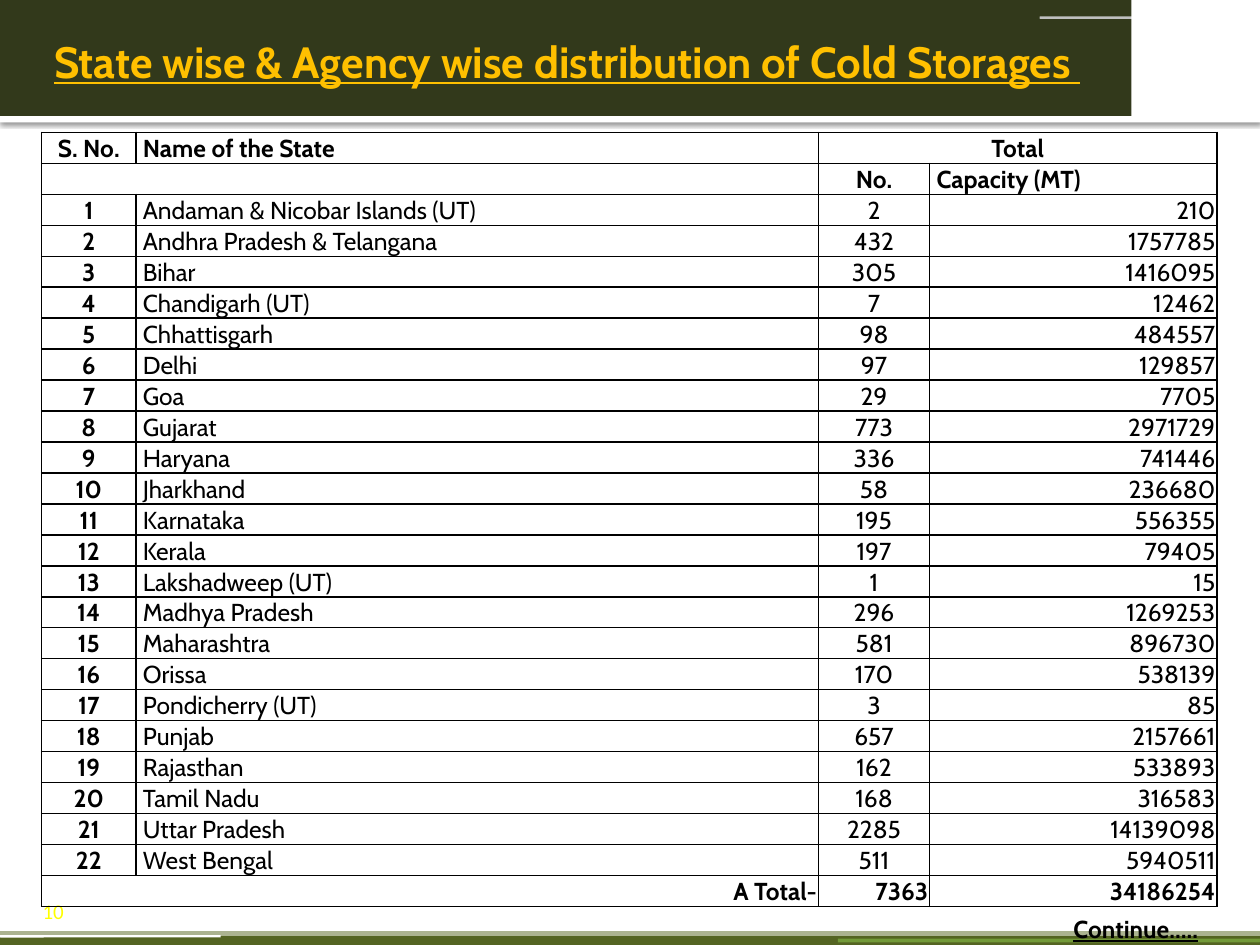
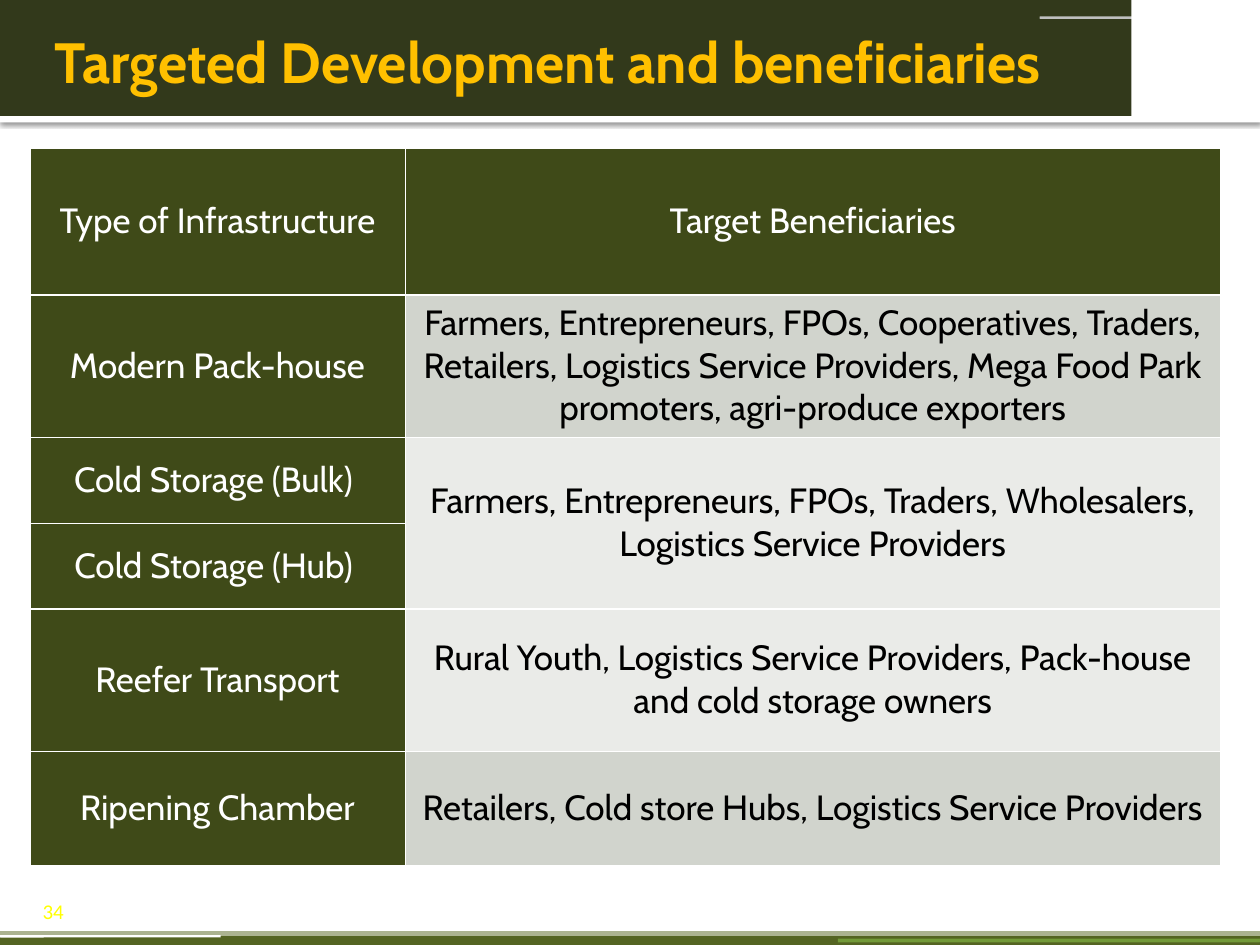
from dataclasses import dataclass
from typing import Optional

import pptx
import pptx.dml.color
import pptx.enum.shapes
import pptx.enum.text
import pptx.oxml
import pptx.oxml.ns
import pptx.util
from lxml import etree

Cm = pptx.util.Cm
Pt = pptx.util.Pt
qn = pptx.oxml.ns.qn
MSO_SHAPE = pptx.enum.shapes.MSO_SHAPE
ANCHOR = pptx.enum.text.MSO_ANCHOR
LEFT = pptx.enum.text.PP_ALIGN.LEFT
CENTER = pptx.enum.text.PP_ALIGN.CENTER
RIGHT = pptx.enum.text.PP_ALIGN.RIGHT

COLORS = {
    "white": "FFFFFF",
    "black": "000000",
    "title": "FFC000",
    "number": "FFFF00",
    "header": "32391B",
    "footer": "546422",
    "footer_line": "596922",
    "lime": "92D050",
    "grey": "BFBFBF",
    "label": "3F4A18",
    "dark_row": "D1D4CD",
    "light_row": "EAEBE8",
}
FONT = "Cabin"


@dataclass
class Band:
    left: float
    top: float
    width: float
    height: float
    color: str
    rounded: bool = False
    alpha: int = 100
    shadow: bool = False


@dataclass
class Style:
    size: float
    color: str = "black"
    bold: bool = False
    underline: bool = False
    font: str = FONT


@dataclass
class CellLook:
    style: Style
    align: int = CENTER
    anchor: int = ANCHOR.MIDDLE
    margins: tuple = (0.03, 0.03, 0.03, 0)
    fill: Optional[str] = None


BANDS = [
    Band(0, 2.34, 25.4, 0.13, "white", shadow=True),
    Band(0, 0, 25.4, 2.34, "header"),
    Band(0, 18.87, 25.4, 0.18, "footer"),
    Band(16.89, 18.92, 8.51, 0.08, "lime", rounded=True, alpha=50),
    Band(20.96, 0.33, 4.45, 0.05, "grey", rounded=True),
    Band(0, 18.77, 25.4, 0.1, "footer_line", alpha=50),
    Band(22.81, 0, 2.59, 2.36, "white"),
    Band(0, 18.85, 4.45, 0.05, "white", rounded=True),
]

STATES = [
    ("Andaman & Nicobar Islands (UT)", 2, 210),
    ("Andhra Pradesh & Telangana", 432, 1757785),
    ("Bihar", 305, 1416095),
    ("Chandigarh (UT)", 7, 12462),
    ("Chhattisgarh", 98, 484557),
    ("Delhi", 97, 129857),
    ("Goa", 29, 7705),
    ("Gujarat", 773, 2971729),
    ("Haryana", 336, 741446),
    ("Jharkhand", 58, 236680),
    ("Karnataka", 195, 556355),
    ("Kerala", 197, 79405),
    ("Lakshadweep (UT)", 1, 15),
    ("Madhya Pradesh", 296, 1269253),
    ("Maharashtra", 581, 896730),
    ("Orissa", 170, 538139),
    ("Pondicherry (UT)", 3, 85),
    ("Punjab", 657, 2157661),
    ("Rajasthan", 162, 533893),
    ("Tamil Nadu", 168, 316583),
    ("Uttar Pradesh", 2285, 14139098),
    ("West Bengal", 511, 5940511),
]

BENEFICIARIES = [
    ("Modern Pack-house", "Farmers, Entrepreneurs, FPOs, Cooperatives, Traders, Retailers, "
     "Logistics Service Providers, Mega Food Park promoters, agri-produce exporters", "dark_row"),
    ("Cold Storage (Bulk) ", "Farmers, Entrepreneurs, FPOs, Traders, Wholesalers, "
     "Logistics Service Providers", "light_row"),
    ("Cold Storage (Hub) ", "", "light_row"),
    ("Reefer Transport", "Rural Youth, Logistics Service Providers, Pack-house "
     "and cold storage owners", "light_row"),
    ("Ripening Chamber", "Retailers, Cold store Hubs, Logistics Service Providers", "dark_row"),
]


def rgb(name: str) -> pptx.dml.color.RGBColor:
    return pptx.dml.color.RGBColor.from_string(COLORS[name])


def add_run(p, text: str, style: Style) -> None:
    r = p.add_run()
    r.text = text
    r.font.name = style.font
    r.font.size = Pt(style.size)
    r.font.bold = style.bold
    r.font.underline = style.underline
    r.font.color.rgb = rgb(style.color)


def set_margins(target, margins: tuple) -> None:
    (target.margin_left, target.margin_top,
     target.margin_right, target.margin_bottom) = map(Cm, margins)


def add_shadow(sp) -> None:
    effects = sp._element.spPr.find(qn("a:effectLst"))
    shadow = etree.SubElement(effects, qn("a:outerShdw"), blurRad=str(Pt(2.5)),
                              dist=str(Pt(0.8)), dir="5400000", algn="t", rotWithShape="0")
    color = etree.SubElement(shadow, qn("a:srgbClr"), val=COLORS["black"])
    etree.SubElement(color, qn("a:alpha"), val="60000")


def add_band(slide, layout, band: Band) -> None:
    kind = MSO_SHAPE.ROUNDED_RECTANGLE if band.rounded else MSO_SHAPE.RECTANGLE
    sp = slide.shapes.add_shape(kind, Cm(band.left), Cm(band.top), Cm(band.width), Cm(band.height))
    sp.shadow.inherit = False
    sp.line.fill.background()
    sp.fill.solid()
    sp.fill.fore_color.rgb = rgb(band.color)
    if band.alpha < 100:
        color = sp._element.spPr.find(qn("a:solidFill"))[0]
        etree.SubElement(color, qn("a:alpha"), val=str(band.alpha * 1000))
    if band.shadow:
        add_shadow(sp)
    layout.shapes._spTree.append(sp._element)


def add_text(slide, box: tuple, text: str, style: Style, margins: tuple, anchor: int) -> None:
    tf = slide.shapes.add_textbox(*map(Cm, box)).text_frame
    tf.word_wrap = True
    tf.vertical_anchor = anchor
    set_margins(tf, margins)
    add_run(tf.paragraphs[0], text, style)


def add_slide(prs, layout, title: str, style: Style, number: str):
    slide = prs.slides.add_slide(layout)
    sp = slide.shapes.title
    sp.left, sp.top, sp.width, sp.height = Cm(0.84), Cm(0.43), Cm(23.7), Cm(1.6)
    tf = sp.text_frame
    tf.auto_size = pptx.enum.text.MSO_AUTO_SIZE.NONE
    tf.vertical_anchor = ANCHOR.MIDDLE
    set_margins(tf, (0.25, 0.13, 0.13, 0.13))
    p = tf.paragraphs[0]
    p.alignment = LEFT
    add_run(p, title, style)
    add_text(slide, (0.76, 18.11, 2.03, 0.51), number, Style(12, "number", font="Calibri"),
             (0.1, 0, 0.1, 0), ANCHOR.BOTTOM)
    return slide


def add_table(slide, left: float, top: float, cols: list, rows: list, border: str):
    frame = slide.shapes.add_table(len(rows), len(cols), Cm(left), Cm(top),
                                   Cm(sum(cols)), Cm(sum(rows)))
    table = frame.table
    table.first_row = table.horz_banding = False
    for col, width in zip(table.columns, cols):
        col.width = Cm(width)
    for row, height in zip(table.rows, rows):
        row.height = Cm(height)
    for cell in table.iter_cells():
        tcPr = cell._tc.get_or_add_tcPr()
        for side in ("L", "R", "T", "B"):
            ln = etree.SubElement(tcPr, qn(f"a:ln{side}"), w=str(Pt(1)))
            fill = etree.SubElement(ln, qn("a:solidFill"))
            etree.SubElement(fill, qn("a:srgbClr"), val=COLORS[border])
        cell.fill.background()
    return table


def write_cell(cell, text: str, look: CellLook) -> None:
    cell.vertical_anchor = look.anchor
    set_margins(cell, look.margins)
    if look.fill:
        cell.fill.solid()
        cell.fill.fore_color.rgb = rgb(look.fill)
    p = cell.text_frame.paragraphs[0]
    p.alignment = look.align
    if text:
        add_run(p, text, look.style)
    else:
        p.font.size = Pt(look.style.size)


def write_row(table, row: int, texts: tuple, looks: list) -> None:
    for col, (text, look) in enumerate(zip(texts, looks)):
        write_cell(table.cell(row, col), str(text), look)


def fill_states(slide) -> None:
    last = len(STATES) + 2
    table = add_table(slide, 0.84, 2.67, [1.9, 13.76, 2.24, 5.79], [0.62] * (last + 1), "black")
    for row, start, end in ((0, 2, 3), (1, 0, 1), (last, 0, 1)):
        table.cell(row, start).merge(table.cell(row, end))

    plain, bold = Style(14), Style(14, bold=True)
    indent = (0.14, 0.03, 0.03, 0)
    head = CellLook(bold)
    head_left = CellLook(bold, LEFT, margins=indent)
    total = CellLook(bold, RIGHT, ANCHOR.BOTTOM)
    body = [head, CellLook(plain, LEFT, margins=indent), CellLook(plain), CellLook(plain, RIGHT)]

    write_row(table, 0, ("S. No.", "Name of the State", "Total", ""), [head, head_left, head, head])
    write_row(table, 1, ("", "", "No.", "Capacity (MT)"), [head, head, head, head_left])
    for number, state in enumerate(STATES, 1):
        write_row(table, number + 1, (number, *state), body)
    write_row(table, last, ("A Total-", "", 7363, 34186254), [total] * 4)


def fill_beneficiaries(slide) -> None:
    table = add_table(slide, 0.6, 2.98, [7.57, 16.43], [2.97, 2.87, 1.73, 1.73, 2.87, 2.31], "white")
    table.cell(2, 1).merge(table.cell(3, 1))
    margins = (0.15, 0.05, 0.15, 0.08)
    label = CellLook(Style(20, "white"), margins=margins, fill="label")
    write_row(table, 0, ("Type of Infrastructure", "Target Beneficiaries"), [label, label])
    for row, (kind, people, fill) in enumerate(BENEFICIARIES, 1):
        write_row(table, row, (kind, people), [label, CellLook(Style(20), margins=margins, fill=fill)])


def main() -> None:
    prs = pptx.Presentation()
    prs.slide_width, prs.slide_height = Cm(25.4), Cm(19.05)
    layout = prs.slide_layouts.get_by_name("Title Only")

    states = add_slide(prs, layout, "State wise & Agency wise distribution of Cold Storages ",
                       Style(25, "title", bold=True, underline=True), "10")
    for band in BANDS:
        add_band(states, layout, band)
    fill_states(states)
    add_text(states, (21.39, 18.29, 3.2, 0.86), "Continue…..",
             Style(14, bold=True, underline=True), (0.25, 0.13, 0.25, 0.13), ANCHOR.TOP)

    targets = add_slide(prs, layout, "Targeted Development and beneficiaries",
                        Style(32.4, "title", bold=True), "34")
    fill_beneficiaries(targets)
    prs.save("out.pptx")


if __name__ == "__main__":
    main()
